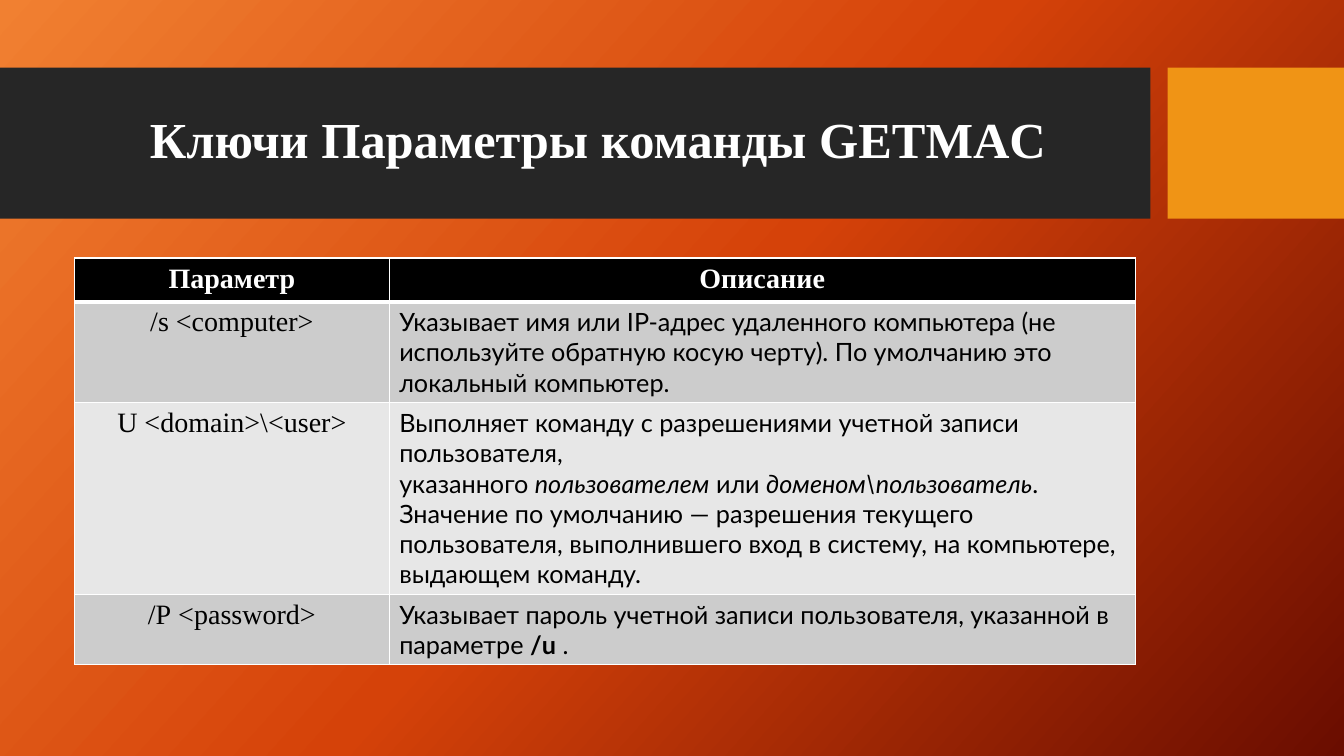
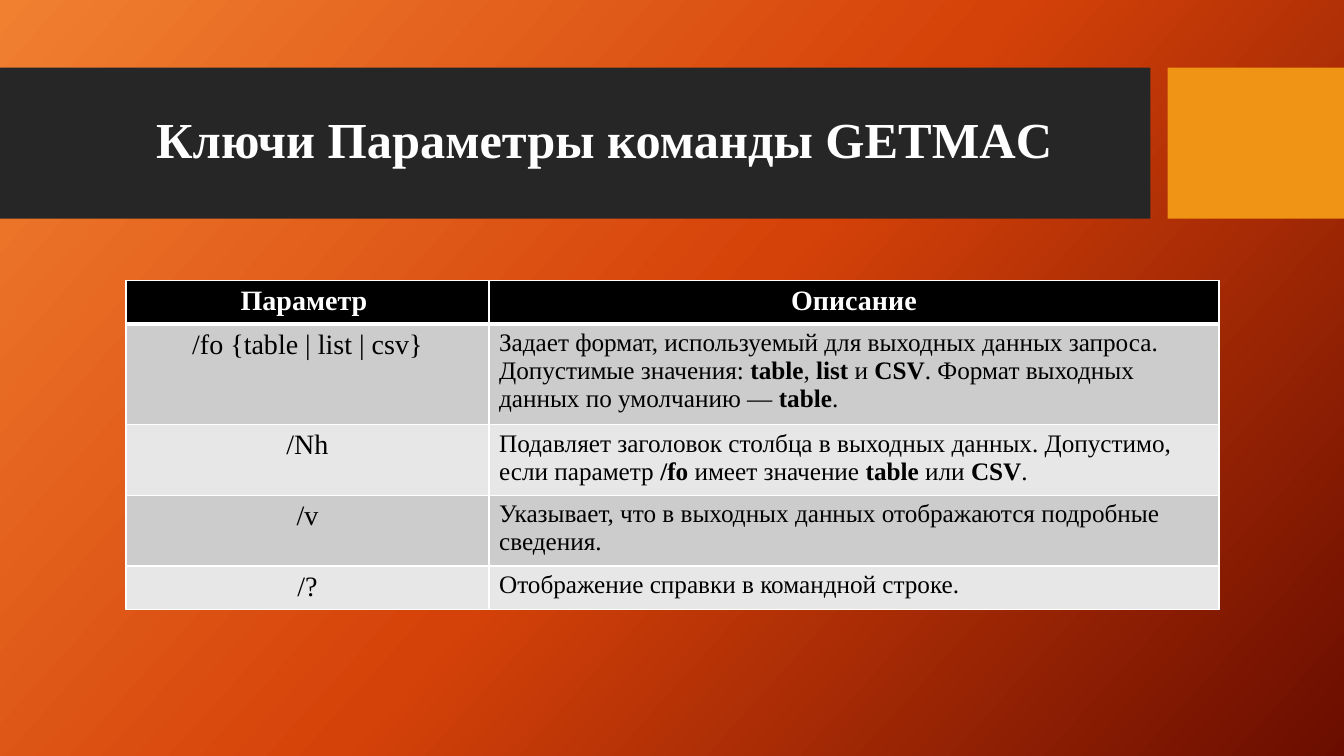
from copy import deepcopy
from dataclasses import dataclass

from lxml.etree import SubElement
from pptx import Presentation
from pptx.dml.color import RGBColor
from pptx.enum.shapes import MSO_SHAPE as Shape
from pptx.enum.text import MSO_ANCHOR as Anchor, PP_ALIGN as Align
from pptx.oxml.ns import qn
from pptx.util import Inches, Pt

COLORS = {
    "glow": "F18031",
    "flame": "D54209",
    "ember": "6A0D00",
    "band": "262626",
    "accent": "F09415",
    "white": "FFFFFF",
    "black": "000000",
    "odd_row": "CCCCCC",
    "even_row": "E7E7E7",
}
SERIF = "Times New Roman"
SANS = "Lato"
ROW_HEIGHT = 0.41
THIN, THICK = 1, 3
NBSP = chr(160)


@dataclass(frozen=True)
class Span:
    text: str
    bold: bool = False
    italic: bool = False


@dataclass(frozen=True)
class Style:
    size: int
    font: str = SERIF
    color: str = "black"
    bold: bool = False
    align: Align = Align.LEFT


@dataclass(frozen=True)
class Band:
    left: float
    width: float
    color: str


@dataclass(frozen=True)
class KeyTable:
    title: str
    left: float
    top: float
    columns: tuple[float, float]
    header: tuple[str, str]
    rows: list[tuple[str, list[Span]]]
    font: str


BANDS = [Band(0, 11.41, "band"), Band(11.58, 1.75, "accent")]
TITLE = Style(36, color="white", bold=True, align=Align.CENTER)
HEADER = Style(20, color="white", bold=True, align=Align.CENTER)
KEY = Style(20, align=Align.CENTER)

TABLES = [
    KeyTable(
        "Ключи Параметры команды GETMAC ", 0.74, 2.56, (3.12, 7.4),
        ("Параметр", "Описание"),
        [
            (f"/s{NBSP}<computer>", [
                Span("Указывает имя или IP-адрес удаленного компьютера (не используйте "
                     "обратную косую черту). По умолчанию это локальный компьютер."),
            ]),
            (f"U{NBSP}<domain>\\<user>", [
                Span("Выполняет команду с разрешениями учетной записи пользователя, "
                     f"указанного{NBSP}"),
                Span("пользователем", italic=True),
                Span(f"{NBSP}или{NBSP}"),
                Span("доменом\\пользователь", italic=True),
                Span(". Значение по умолчанию — разрешения текущего пользователя, "
                     "выполнившего вход в систему, на компьютере, выдающем команду."),
            ]),
            (f"/P{NBSP}<password>", [
                Span("Указывает пароль учетной записи пользователя, "
                     f"указанной в параметре{NBSP}"),
                Span("/u", bold=True),
                Span(f"{NBSP}."),
            ]),
        ],
        SANS,
    ),
    KeyTable(
        "Ключи Параметры команды GETMAC", 1.25, 2.78, (3.6, 7.24),
        ("Параметр ", "Описание"),
        [
            ("/fo {table | list | csv}", [
                Span("Задает формат, используемый для выходных данных запроса. "
                     f"Допустимые значения:{NBSP}"),
                Span("table", bold=True),
                Span(f",{NBSP}"),
                Span("list", bold=True),
                Span(f"{NBSP}и{NBSP}"),
                Span("CSV", bold=True),
                Span(f". Формат выходных данных по умолчанию —{NBSP}"),
                Span("table", bold=True),
                Span("."),
            ]),
            ("/Nh", [
                Span("Подавляет заголовок столбца в выходных данных. Допустимо, "
                     f"если параметр{NBSP}"),
                Span("/fo", bold=True),
                Span(f"{NBSP}имеет значение{NBSP}"),
                Span("table", bold=True),
                Span(f"{NBSP}или{NBSP}"),
                Span("CSV", bold=True),
                Span("."),
            ]),
            ("/v", [
                Span("Указывает, что в выходных данных отображаются подробные сведения."),
            ]),
            ("/?", [Span("Отображение справки в командной строке.")]),
        ],
        SERIF,
    ),
]


def rgb(name: str) -> RGBColor:
    return RGBColor.from_string(COLORS[name])


def paint_background(master) -> None:
    fill = master.background.fill
    fill.gradient()
    fill.gradient_angle = 360 - 42
    first = master.element.find(".//" + qn("p:bg")).find(".//" + qn("a:gs"))
    first.addnext(deepcopy(first))
    names = ("glow", "flame", "ember")
    for index, (stop, name) in enumerate(zip(fill.gradient_stops, names)):
        stop.position = index / 2
        stop.color.rgb = rgb(name)


def write(para, spans: list[Span], style: Style) -> None:
    para.alignment = style.align
    para.font.size = Pt(style.size)
    para.font.color.rgb = rgb(style.color)
    for span in spans:
        run = para.add_run()
        run.text = span.text
        run.font.name = style.font
        run.font.bold = span.bold or style.bold
        if span.italic:
            run.font.italic = True


def add_bands(page) -> None:
    for band in BANDS:
        box = page.shapes.add_shape(
            Shape.RECTANGLE, Inches(band.left), Inches(0.67), Inches(band.width), Inches(1.5))
        box.shadow.inherit = False
        box.fill.solid()
        box.fill.fore_color.rgb = rgb(band.color)
        box.line.fill.background()


def add_title(page, text: str) -> None:
    box = page.shapes.add_textbox(Inches(0.74), Inches(0.82), Inches(10.51), Inches(1.18))
    frame = box.text_frame
    frame.word_wrap = True
    frame.vertical_anchor = Anchor.MIDDLE
    para = frame.paragraphs[0]
    para.line_spacing = 0.9
    write(para, [Span(text)], TITLE)


def set_borders(cell, top: int, bottom: int) -> None:
    properties = cell._tc.get_or_add_tcPr()
    for side, width in (("L", THIN), ("R", THIN), ("T", top), ("B", bottom)):
        line = SubElement(properties, qn(f"a:ln{side}"), w=str(Pt(width)))
        fill = SubElement(line, qn("a:solidFill"))
        SubElement(fill, qn("a:srgbClr"), val=COLORS["white"])


def fill_cell(cell, spans: list[Span], style: Style, row: int) -> None:
    set_borders(cell, THICK if row == 1 else THIN, THICK if row == 0 else THIN)
    cell.fill.solid()
    shade = "black" if row == 0 else "odd_row" if row % 2 else "even_row"
    cell.fill.fore_color.rgb = rgb(shade)
    write(cell.text_frame.paragraphs[0], spans, style)


def add_key_table(page, keys: KeyTable) -> None:
    count = len(keys.rows) + 1
    table = page.shapes.add_table(
        count, len(keys.columns), Inches(keys.left), Inches(keys.top),
        Inches(sum(keys.columns)), Inches(ROW_HEIGHT * count)).table
    table.horz_banding = False
    for column, width in zip(table.columns, keys.columns):
        column.width = Inches(width)
    for index, label in enumerate(keys.header):
        fill_cell(table.cell(0, index), [Span(label)], HEADER, 0)
    description = Style(18, keys.font)
    for row, (key, spans) in enumerate(keys.rows, start=1):
        fill_cell(table.cell(row, 0), [Span(key)], KEY, row)
        fill_cell(table.cell(row, 1), spans, description, row)


def main() -> None:
    deck = Presentation()
    deck.slide_width, deck.slide_height = Inches(13.33), Inches(7.5)
    paint_background(deck.slide_master)
    for keys in TABLES:
        page = deck.slides.add_slide(deck.slide_layouts[6])
        add_bands(page)
        add_title(page, keys.title)
        add_key_table(page, keys)
    deck.save("out.pptx")


if __name__ == "__main__":
    main()
